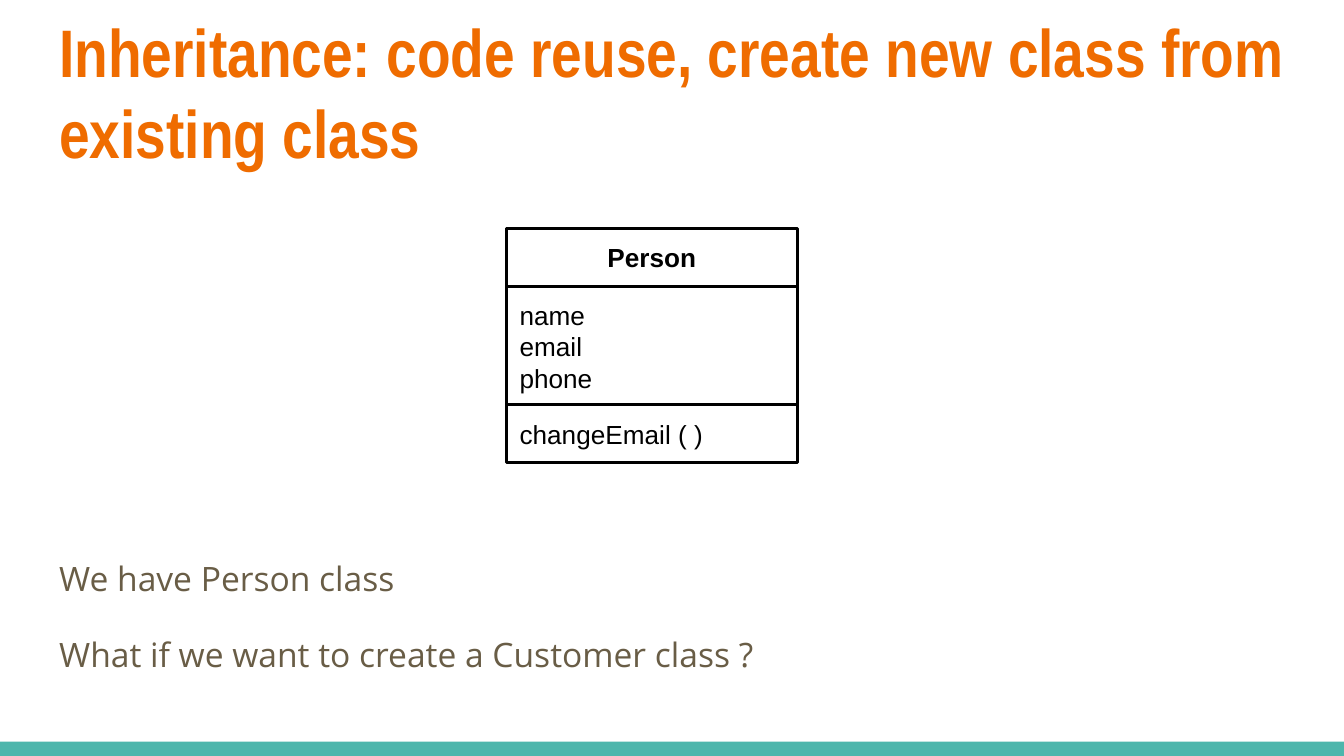
from pptx import Presentation
from pptx.dml.color import RGBColor
from pptx.enum.shapes import MSO_SHAPE
from pptx.enum.text import MSO_ANCHOR, PP_ALIGN
from pptx.util import Cm, Pt

RECT = MSO_SHAPE.RECTANGLE
TOP = MSO_ANCHOR.TOP
LEFT, CENTER = PP_ALIGN.LEFT, PP_ALIGN.CENTER


def color(value):
    """Turn a hex string into a colour."""
    return RGBColor.from_string(value)


def write(s, lines, font, size, ink, bold=False, align=LEFT, spacing=1.0, gap=0):
    """Fill a shape with paragraphs of one style."""
    tf = s.text_frame
    tf.word_wrap = True
    tf.vertical_anchor = TOP
    tf.margin_left = tf.margin_right = tf.margin_top = tf.margin_bottom = Cm(0.25)
    tf.text = "\n".join(lines)
    for i, p in enumerate(tf.paragraphs):
        p.alignment = align
        p.line_spacing = spacing
        p.space_before = Pt(gap if i else 0)
        for r in p.runs:
            r.font.name = font
            r.font.size = Pt(size)
            r.font.bold = bold
            r.font.color.rgb = color(ink)


def add_text(slide, x, y, w, h, lines, font, size, ink, **style):
    """Add a text box."""
    s = slide.shapes.add_textbox(Cm(x), Cm(y), Cm(w), Cm(h))
    write(s, lines, font, size, ink, **style)


def add_rect(slide, x, y, w, h, fill=None, line=None):
    """Add a rectangle with an optional fill and outline."""
    s = slide.shapes.add_shape(RECT, Cm(x), Cm(y), Cm(w), Cm(h))
    s.shadow.inherit = False
    if fill:
        s.fill.solid()
        s.fill.fore_color.rgb = color(fill)
    else:
        s.fill.background()
    if line:
        s.line.color.rgb = color(line)
        s.line.width = Pt(1.5)
    else:
        s.line.fill.background()
    return s


def add_class(slide, x, y, w, sections):
    """Stack the compartments of a class diagram, the name first."""
    for i, (h, lines) in enumerate(sections):
        s = add_rect(slide, x, y, w, h, line="000000")
        is_name = i == 0
        write(s, lines, "Arial", 14, "000000", bold=is_name,
              align=CENTER if is_name else LEFT)
        y += h


def main():
    """Build the inheritance slide."""
    prs = Presentation()
    prs.slide_width, prs.slide_height = Cm(25.4), Cm(14.29)
    slide = prs.slides.add_slide(prs.slide_layouts[6])
    add_rect(slide, 0, 14.02, 25.4, 0.27, fill="4DB6AC")
    add_text(slide, 0.87, -0.05, 23.67, 3.3,
             ["Inheritance: code reuse, create new class from existing class"],
             "Arial Narrow", 36, "EF6C00", bold=True)
    add_text(slide, 0.87, 10.18, 22.9, 3.18,
             ["We have Person class", "What if we want to create a Customer class ?"],
             "Open Sans", 18, "695D46", spacing=1.15, gap=16)
    add_class(slide, 9.57, 4.32, 5.5, [
        (1.09, ["Person"]),
        (2.24, ["name", "email", "phone"]),
        (1.09, ["changeEmail ( )"]),
    ])
    prs.save("out.pptx")


if __name__ == "__main__":
    main()
